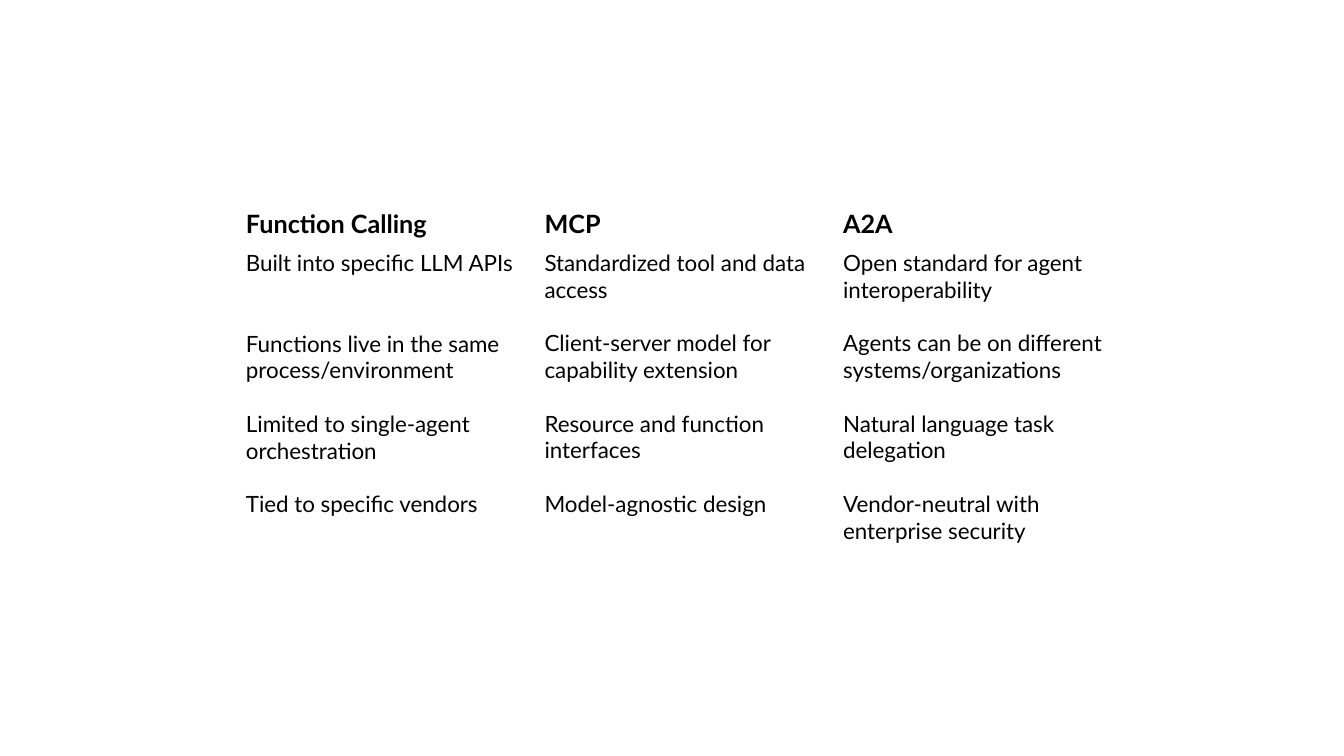
import pptx
import pptx.util
import pptx.dml.color

Pt = pptx.util.Pt

# Content: one heading and four points per column
COLS = [
    ("Function Calling", [
        "Built into specific LLM APIs",
        "Functions live in the same process/environment",
        "Limited to single-agent orchestration",
        "Tied to specific vendors",
    ]),
    ("MCP", [
        "Standardized tool and data access",
        "Client-server model for capability extension",
        "Resource and function interfaces",
        "Model-agnostic design",
    ]),
    ("A2A", [
        "Open standard for agent interoperability",
        "Agents can be on different systems/organizations",
        "Natural language task delegation",
        "Vendor-neutral with enterprise security",
    ]),
]
COLORS = {"text": "000000"}
FONT = "Lato"

# Layout
LEFT, TOP = 168.5, 145.4
WIDTH = 213.3           # column width
HEAD, BODY = 29.2, 218.4  # row heights
LINE = 19.2             # line height of the points
FIT = 30                # letters that fit on one line


def fill(cell, lines, size, bold):
    """Write the lines in a clear cell, each point three lines deep."""
    cell.fill.background()
    cell.text_frame.text = "\n".join(lines)
    paras = cell.text_frame.paragraphs
    for para in paras:
        font = para.runs[0].font
        font.name, font.size, font.bold = FONT, Pt(size), bold
        font.color.rgb = pptx.dml.color.RGBColor.from_string(COLORS["text"])
    for para in paras[:-1]:
        used = 1 if len(para.text) < FIT else 2
        para.space_after = Pt(LINE * (3 - used))


def main():
    deck = pptx.Presentation()
    deck.slide_width, deck.slide_height = Pt(960), Pt(540)
    slide = deck.slides.add_slide(deck.slide_layouts[6])

    # Comparison table
    frame = slide.shapes.add_table(
        2, len(COLS), Pt(LEFT), Pt(TOP), Pt(WIDTH * len(COLS)), Pt(HEAD + BODY))
    table = frame.table
    table.first_row = table.horz_banding = False
    table.rows[0].height, table.rows[1].height = Pt(HEAD), Pt(BODY)
    for col, (head, points) in enumerate(COLS):
        table.columns[col].width = Pt(WIDTH)
        fill(table.cell(0, col), [head], 18, True)
        fill(table.cell(1, col), points, 16, False)

    deck.save("out.pptx")


if __name__ == "__main__":
    main()
